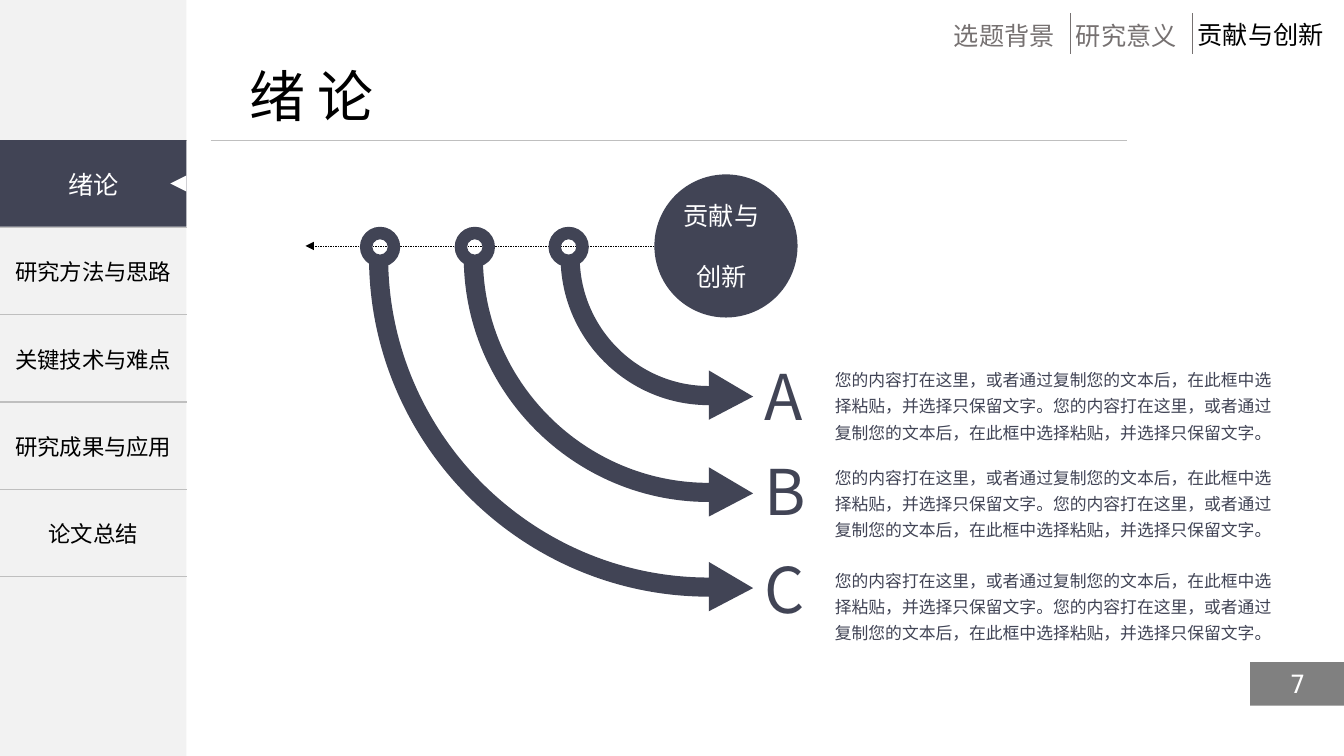
"""Build the contribution and innovation slide of a thesis deck."""
from dataclasses import dataclass

from lxml import etree
from pptx import Presentation
from pptx.dml.color import RGBColor
from pptx.enum.dml import MSO_LINE
from pptx.enum.shapes import MSO_CONNECTOR, MSO_SHAPE
from pptx.enum.text import MSO_ANCHOR, PP_ALIGN
from pptx.oxml.ns import qn
from pptx.util import Inches, Pt

RECT, OVAL = MSO_SHAPE.RECTANGLE, MSO_SHAPE.OVAL
DONUT, TRIANGLE = MSO_SHAPE.DONUT, MSO_SHAPE.ISOSCELES_TRIANGLE
STRAIGHT, DASH = MSO_CONNECTOR.STRAIGHT, MSO_LINE.DASH
LEFT, CENTER = PP_ALIGN.LEFT, PP_ALIGN.CENTER
TOP, MIDDLE = MSO_ANCHOR.TOP, MSO_ANCHOR.MIDDLE


@dataclass(frozen=True)
class Theme:
    font: str = "Noto Sans CJK SC"
    number_font: str = "DejaVu Sans Mono"
    navy: str = "414455"
    black: str = "000000"
    white: str = "FFFFFF"
    panel: str = "F2F2F2"
    rule: str = "BFBFBF"
    muted: str = "767171"
    badge: str = "808080"
    title: int = 40
    letter: int = 45
    label: int = 18
    menu: int = 16
    body: int = 12


@dataclass(frozen=True)
class Tab:
    text: str
    left: float
    top: float
    width: float
    color: str


@dataclass(frozen=True)
class Branch:
    letter: str
    ring_x: float
    radius: float
    letter_top: float
    letter_width: float
    text_top: float


THEME = Theme()
TABS = [
    Tab("选题背景", 9.41, 0.15, 1.11, THEME.muted),
    Tab("研究意义", 10.62, 0.15, 1.11, THEME.muted),
    Tab("贡献与创新", 11.83, 0.14, 1.36, THEME.black),
]
MENU = ["", "研究方法与思路", "关键技术与难点", "研究成果与应用", "论文总结"]
BRANCHES = [
    Branch("A", 5.64, 1.47, 3.51, 0.51, 3.57),
    Branch("B", 4.71, 2.43, 4.45, 0.51, 4.54),
    Branch("C", 3.77, 3.37, 5.42, 0.55, 5.56),
]
BODY = "您的内容打在这里，或者通过复制您的文本后，在此框中选择粘贴，并选择只保留文字。" * 2
ARC_X, ARC_Y, BAND = 7.03, 2.55, 0.19
ARC_PULL = 0.55


def write(tf, text: str, size: int, color: str, align=LEFT, font: str = THEME.font) -> None:
    """Fill a text frame and format its runs."""
    tf.text = text
    for p in tf.paragraphs:
        p.alignment = align
        for r in p.runs:
            r.font.size = Pt(size)
            r.font.color.rgb = RGBColor.from_string(color)
            r.font.name = font
            etree.SubElement(r._r.get_or_add_rPr(), qn("a:ea")).set("typeface", font)


def set_frame(tf, inset: float = 0.05, anchor=TOP, wrap: bool = True) -> None:
    """Set the margins, anchor and wrapping of a text frame."""
    tf.margin_left = tf.margin_right = tf.margin_top = tf.margin_bottom = Inches(inset)
    tf.vertical_anchor = anchor
    tf.word_wrap = wrap


def add_text(s, box: tuple, text: str, size: int, color: str, align=LEFT,
             inset: float = 0.05, anchor=TOP, wrap: bool = True):
    """Add a text box and return its text frame."""
    tf = s.shapes.add_textbox(*map(Inches, box)).text_frame
    set_frame(tf, inset, anchor, wrap)
    write(tf, text, size, color, align)
    return tf


def paint(sp, color: str) -> None:
    """Give a shape a flat fill without outline or shadow."""
    sp.shadow.inherit = False
    sp.fill.solid()
    sp.fill.fore_color.rgb = RGBColor.from_string(color)
    sp.line.fill.background()


def add_flat(s, kind, box: tuple, color: str):
    """Add a flat preset shape."""
    sp = s.shapes.add_shape(kind, *map(Inches, box))
    paint(sp, color)
    return sp


def add_line(s, start: tuple, end: tuple, color: str, width: float = 0.5):
    """Add a straight line without shadow."""
    line = s.shapes.add_connector(STRAIGHT, *map(Inches, start + end))
    line.line.color.rgb = RGBColor.from_string(color)
    line.line.width = Pt(width)
    etree.SubElement(line._element.spPr, qn("a:effectLst"))
    return line


def add_menu(s) -> None:
    """Add the side menu table with its highlighted entry."""
    table = s.shapes.add_table(len(MENU), 1, 0, Inches(1.39), Inches(1.85), Inches(4.33)).table
    table.first_row = table.horz_banding = False
    for row, text in enumerate(MENU):
        cell = table.cell(row, 0)
        write(cell.text_frame, text, THEME.menu, THEME.black, CENTER)
        cell.margin_left = cell.margin_right = cell.margin_top = cell.margin_bottom = Inches(0.05)
        cell.vertical_anchor = MIDDLE
        tcPr = cell._tc.get_or_add_tcPr()
        for side in "LRTB":
            edge = etree.SubElement(tcPr, qn(f"a:ln{side}"), w=str(Pt(1)))
            if side in "LR":
                etree.SubElement(edge, qn("a:noFill"))
            else:
                fill = etree.SubElement(edge, qn("a:solidFill"))
                etree.SubElement(fill, qn("a:srgbClr"), val=THEME.rule)
        cell.fill.background()
    add_flat(s, RECT, (0, 1.39, 1.85, 0.86), THEME.navy)
    add_text(s, (0, 1.6, 1.85, 0.45), "绪论", THEME.label, THEME.white, CENTER, anchor=MIDDLE)
    add_flat(s, TRIANGLE, (1.69, 1.74, 0.16, 0.16), THEME.white).rotation = 270


def bend(segment, start: tuple, end: tuple, corner: tuple) -> None:
    """Turn a straight path segment into a quarter arc around a corner."""
    segment.tag = qn("a:cubicBezTo")
    controls = [[round(a + ARC_PULL * (c - a)) for a, c in zip(point, corner)]
                for point in (start, end)]
    for i, (x, y) in enumerate(controls):
        segment.insert(i, etree.Element(qn("a:pt"), x=str(x), y=str(y)))


def add_arc_arrow(s, outer: float) -> None:
    """Add a quarter-circle band that ends in an arrowhead."""
    inner = outer - BAND
    middle = ARC_Y + (outer + inner) / 2
    points = [
        (ARC_X, ARC_Y + outer), (ARC_X - outer, ARC_Y),
        (ARC_X - inner, ARC_Y), (ARC_X, ARC_Y + inner),
        (ARC_X, middle - 0.25), (ARC_X + 0.44, middle + 0.01), (ARC_X, middle + 0.24),
    ]
    corners = [(Inches(x), Inches(y)) for x, y in points]
    builder = s.shapes.build_freeform(*corners[0], scale=1.0)
    builder.add_line_segments(corners[1:], close=True)
    sp = builder.convert_to_shape()
    paint(sp, THEME.navy)
    segments = list(sp._element.iter(qn("a:lnTo")))
    a, b, c, d = [(x - sp.left, y - sp.top) for x, y in corners[:4]]
    bend(segments[0], a, b, (b[0], a[1]))
    bend(segments[2], c, d, (c[0], d[1]))


def add_branch(s, branch: Branch) -> None:
    """Add a ring, its curved arrow, letter and description."""
    ring = add_flat(s, DONUT, (branch.ring_x - 0.2, 2.25, 0.4, 0.4), THEME.navy)
    ring.adjustments[0] = 0.31
    add_arc_arrow(s, branch.radius)
    add_text(s, (7.54, branch.letter_top, branch.letter_width, 0.83), branch.letter,
             THEME.letter, THEME.navy, inset=0.04, anchor=MIDDLE, wrap=False)
    tf = add_text(s, (8.24, branch.text_top, 4.52, 0.93), BODY, THEME.body, THEME.navy, inset=0.04)
    tf.paragraphs[0].line_spacing = 1.3


def main() -> None:
    """Build and save the slide."""
    prs = Presentation()
    prs.slide_width, prs.slide_height = Inches(13.33), Inches(7.5)
    s = prs.slides.add_slide(prs.slide_layouts[5])
    add_flat(s, RECT, (0, 0, 1.85, 7.5), THEME.panel)
    add_line(s, (2.09, 1.39), (11.18, 1.39), THEME.rule)
    title = s.shapes.title
    title.left, title.top, title.width, title.height = map(Inches, (2.42, 0.56, 1.38, 0.88))
    set_frame(title.text_frame, wrap=False)
    write(title.text_frame, "绪 论", THEME.title, THEME.black)
    for tab in TABS:
        add_text(s, (tab.left, tab.top, tab.width, 0.45), tab.text, THEME.label, tab.color, wrap=False)
    for tab in TABS[1:]:
        add_line(s, (tab.left, 0.13), (tab.left, 0.54), THEME.muted)
    add_menu(s)
    add_flat(s, OVAL, (6.49, 1.73, 1.42, 1.42), THEME.navy)
    tf = add_text(s, (6.65, 2.05, 1.01, 0.78), "贡献与\n创新", THEME.label, THEME.white,
                  CENTER, 0.04, MIDDLE)
    tf.paragraphs[1].space_before = Pt(22)
    axis = add_line(s, (6.49, 2.44), (3.03, 2.44), THEME.black, 0.25)
    axis.line.dash_style = DASH
    etree.SubElement(axis.line._get_or_add_ln(), qn("a:tailEnd"), type="triangle")
    for branch in BRANCHES:
        add_branch(s, branch)
    badge = add_flat(s, RECT, (12.4, 6.57, 0.94, 0.43), THEME.badge)
    set_frame(badge.text_frame, anchor=MIDDLE)
    write(badge.text_frame, "7", THEME.label, THEME.white, CENTER, THEME.number_font)
    prs.save("out.pptx")


if __name__ == "__main__":
    main()
